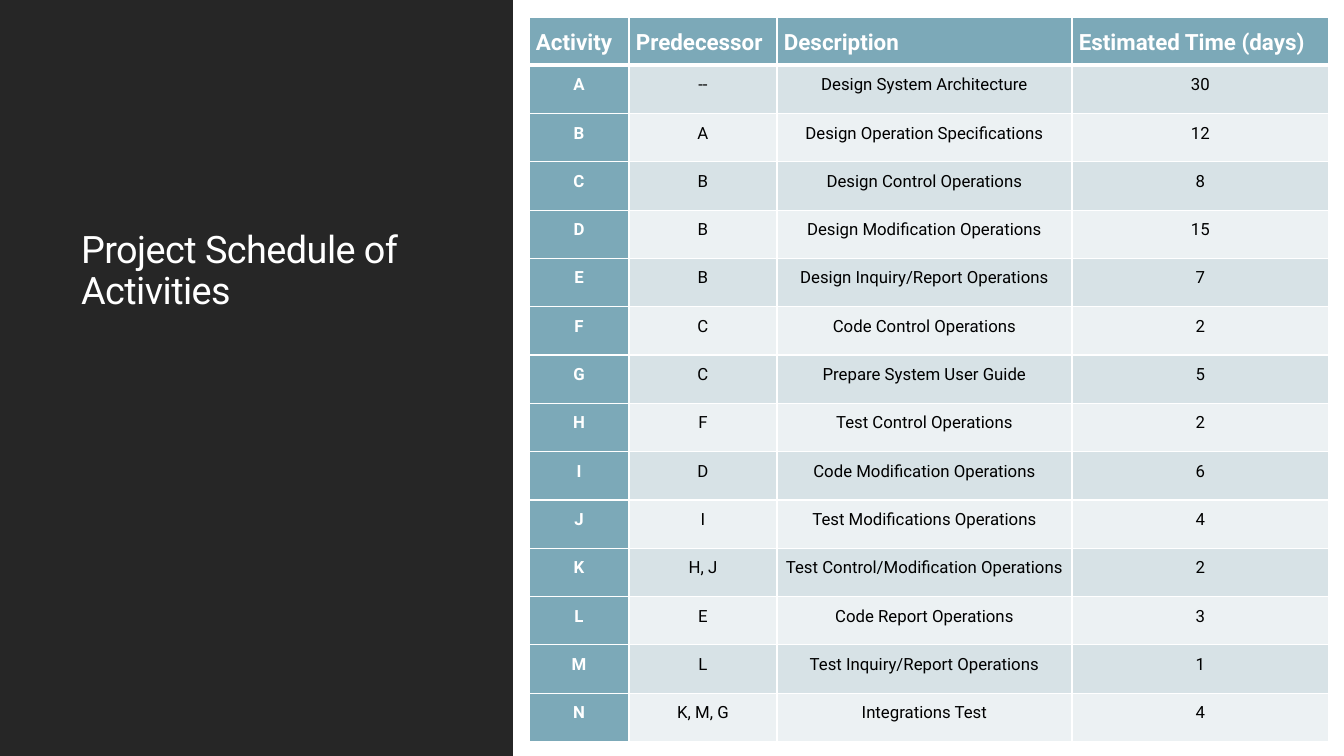
from lxml import etree
from pptx import Presentation
from pptx import util as u
from pptx.dml.color import RGBColor
from pptx.enum import shapes, text
from pptx.oxml.ns import qn

COLORS = {"panel": "262626", "teal": "7CA9B8", "odd": "D7E2E6",
          "even": "ECF1F3", "white": "FFFFFF", "black": "000000"}
SLIDE_WIDTH, SLIDE_HEIGHT = 1344, 756
EMU_PER_PX = 12192000 / SLIDE_WIDTH

HEADINGS = ("Activity", "Predecessor", "Description", "Estimated Time (days)")
COLUMN_WIDTHS = (100, 148, 295, 257)
ACTIVITIES = (
    ("A", "--", "Design System Architecture", 30),
    ("B", "A", "Design Operation Specifications", 12),
    ("C", "B", "Design Control Operations", 8),
    ("D", "B", "Design Modification Operations", 15),
    ("E", "B", "Design Inquiry/Report Operations", 7),
    ("F", "C", "Code Control Operations", 2),
    ("G", "C", "Prepare System User Guide", 5),
    ("H", "F", "Test Control Operations", 2),
    ("I", "D", "Code Modification Operations", 6),
    ("J", "I", "Test Modifications Operations", 4),
    ("K", "H, J", "Test Control/Modification Operations", 2),
    ("L", "E", "Code Report Operations", 3),
    ("M", "L", "Test Inquiry/Report Operations", 1),
    ("N", "K, M, G", "Integrations Test", 4),
)


def px(length):
    """Turn px into EMU."""
    return u.Emu(round(length * EMU_PER_PX))


def color(name):
    """Look up a named colour."""
    return RGBColor.from_string(COLORS[name])


def write(frame, words, size=12, ink="black", bold=False, align="CENTER",
          spacing=1.5, tracking=None):
    """Write one formatted paragraph into a text frame."""
    paragraph = frame.paragraphs[0]
    paragraph.alignment = getattr(text.PP_ALIGN, align)
    paragraph.line_spacing = spacing
    run = paragraph.add_run()
    run.text = str(words)
    run.font.name = "Roboto"
    run.font.size = u.Pt(size)
    run.font.bold = bold
    run.font.color.rgb = color(ink)
    if tracking is not None:
        run.font._element.set("spc", str(round(tracking * 100)))


class ScheduleSlide:
    """Hold the style and the current slide."""

    def __init__(self, deck):
        """Add a title-only slide."""
        self.slide = deck.slides.add_slide(deck.slide_layouts[5])

    def panel(self, left, top, width, height):
        """Draw a plain rectangle behind everything else."""
        side = self.slide.shapes.add_shape(
            shapes.MSO_SHAPE.RECTANGLE, *map(px, (left, top, width, height)))
        side.shadow.inherit = False
        side.fill.solid()
        side.fill.fore_color.rgb = color("panel")
        side.line.fill.background()
        self.slide.shapes._spTree.insert(2, side._element)

    def title(self, words, left, top, width, height):
        """Place and format the title placeholder."""
        heading = self.slide.shapes.title
        heading.left, heading.top, heading.width, heading.height = map(
            px, (left, top, width, height))
        frame = heading.text_frame
        frame.word_wrap = True
        frame.auto_size = text.MSO_AUTO_SIZE.NONE
        frame.vertical_anchor = text.MSO_ANCHOR.BOTTOM
        write(frame, words, size=27, ink="white", align="LEFT",
              spacing=0.9, tracking=-0.4)

    def borders(self, cell, top=1, bottom=1):
        """Give a cell white borders, with widths in points."""
        properties = cell._tc.get_or_add_tcPr()
        widths = {"lnL": 1, "lnR": 1, "lnT": top, "lnB": bottom}
        for position, (side, width) in enumerate(widths.items()):
            line = etree.Element(qn(f"a:{side}"), w=str(u.Pt(width)))
            fill = etree.SubElement(line, qn("a:solidFill"))
            etree.SubElement(fill, qn("a:srgbClr"), val=COLORS["white"])
            properties.insert(position, line)

    def cell(self, cell, words, fill, top=1, bottom=1, **style):
        """Fill, border and write one table cell."""
        cell.margin_left = cell.margin_right = px(7)
        cell.margin_top = cell.margin_bottom = 0
        cell.fill.solid()
        cell.fill.fore_color.rgb = color(fill)
        self.borders(cell, top, bottom)
        write(cell.text_frame, words, **style)

    def schedule(self, left, top, height):
        """Build the activity table."""
        row_count = len(ACTIVITIES) + 1
        grid = self.slide.shapes.add_table(
            row_count, len(HEADINGS), px(left), px(top),
            px(sum(COLUMN_WIDTHS)), px(height)).table
        for column, width in zip(grid.columns, COLUMN_WIDTHS):
            column.width = px(width)
        for row in grid.rows:
            row.height = px(height / row_count)
        for column, heading in enumerate(HEADINGS):
            self.cell(grid.cell(0, column), heading, "teal", bottom=3,
                      size=16, ink="white", bold=True, align="JUSTIFY")
        for number, activity in enumerate(ACTIVITIES, 1):
            band = "odd" if number % 2 else "even"
            for column, words in enumerate(activity):
                is_label = column == 0
                self.cell(grid.cell(number, column), words,
                          "teal" if is_label else band,
                          top=3 if number == 1 else 1,
                          ink="white" if is_label else "black", bold=is_label)


def main():
    """Build and save the schedule slide."""
    deck = Presentation()
    deck.slide_width, deck.slide_height = px(SLIDE_WIDTH), px(SLIDE_HEIGHT)
    page = ScheduleSlide(deck)
    page.panel(0, 0, 513, SLIDE_HEIGHT)
    page.title("Project Schedule of Activities", 71, 87, 388, 231)
    page.schedule(529, 17, 725)
    deck.save("out.pptx")


if __name__ == "__main__":
    main()
